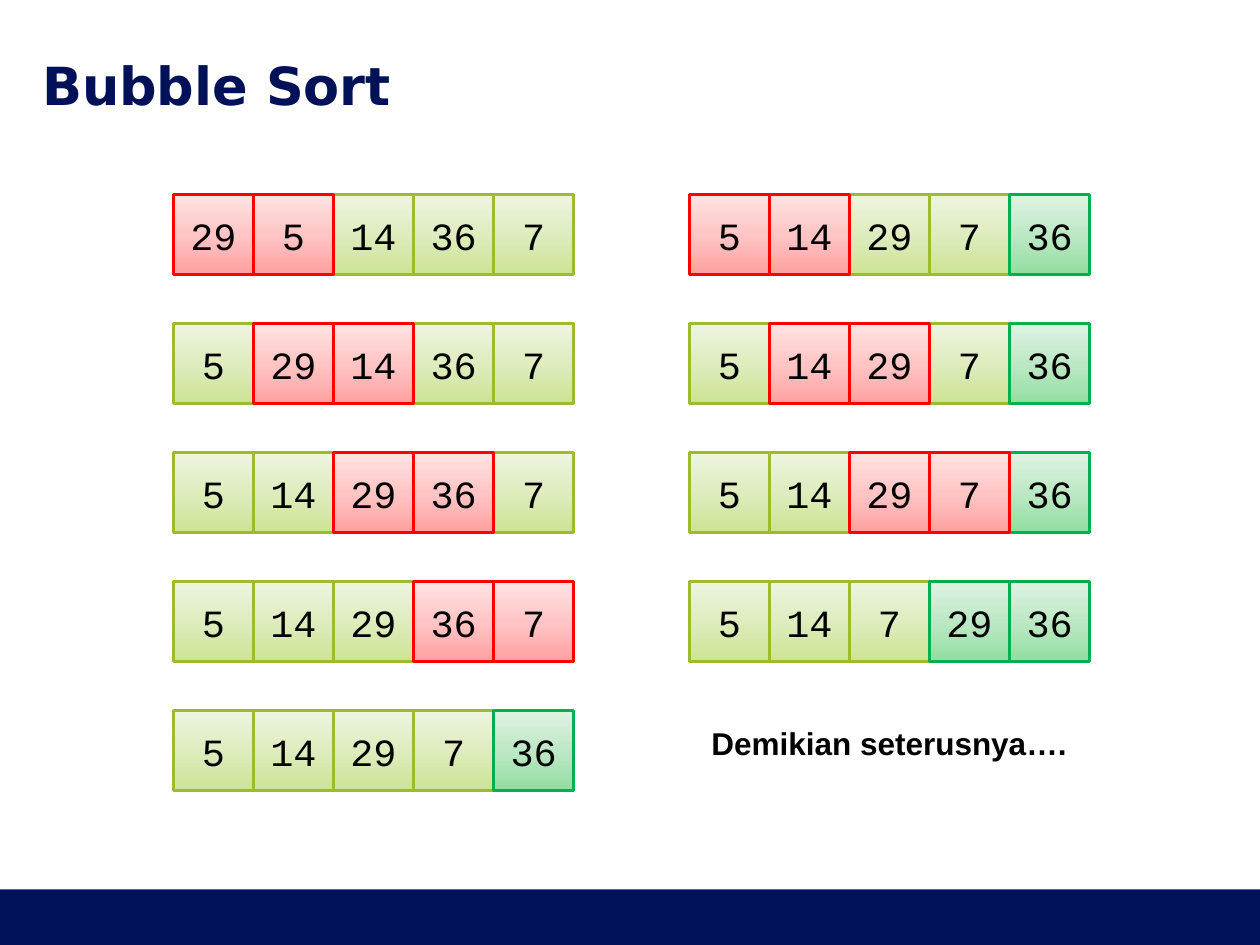
"""Build a slide that shows the first passes of bubble sort."""
import copy

import pptx
import pptx.dml.color
import pptx.enum.shapes
import pptx.enum.text
import pptx.oxml.ns
import pptx.util

Pt = pptx.util.Pt
NAVY = "001158"
CELL = 45.75
TOP = 111.25
ROW_STEP = 73.7
STYLES = {
    "n": {"line": "9EBA2E", "stops": ["CCE493", "DEECBE", "EEF5E0"]},
    "s": {"line": "00B050", "stops": ["91DEA0", "BDE8C5", "DFF3E3"]},
    "c": {"line": "FF0000", "stops": ["FFA0A0", "FFC5C5", "FFE3E3"]},
}
PASSES = [
    (99.1, [
        ([29, 5, 14, 36, 7], "ccnnn"),
        ([5, 29, 14, 36, 7], "nccnn"),
        ([5, 14, 29, 36, 7], "nnccn"),
        ([5, 14, 29, 36, 7], "nnncc"),
        ([5, 14, 29, 7, 36], "nnnns"),
    ]),
    (393.9, [
        ([5, 14, 29, 7, 36], "ccnns"),
        ([5, 14, 29, 7, 36], "nccns"),
        ([5, 14, 29, 7, 36], "nnccs"),
        ([5, 14, 7, 29, 36], "nnnss"),
    ]),
]


def rgb(value):
    return pptx.dml.color.RGBColor.from_string(value)


def set_attrs(obj, values):
    for name, value in values.items():
        setattr(obj, name, value)


def add_run(tf, text, color, **font):
    r = tf.paragraphs[0].add_run()
    r.text = text
    r.font.color.rgb = rgb(color)
    set_attrs(r.font, font)


def add_rect(s, x, y, w, h):
    sp = s.shapes.add_shape(
        pptx.enum.shapes.MSO_SHAPE.RECTANGLE, Pt(x), Pt(y), Pt(w), Pt(h))
    sp.shadow.inherit = False
    return sp


def add_footer(s):
    sp = add_rect(s, 0, 508.2, 720, 31.8)
    sp.fill.solid()
    sp.fill.fore_color.rgb = rgb(NAVY)
    sp.line.fill.background()


def fill_gradient(sp, colors):
    sp.fill.gradient()
    sp.fill.gradient_angle = 90
    first = sp._element.spPr.find(".//" + pptx.oxml.ns.qn("a:gs"))
    first.addnext(copy.deepcopy(first))
    for i, (stop, color) in enumerate(zip(sp.fill.gradient_stops, colors)):
        stop.position = i / 2
        stop.color.rgb = rgb(color)


def add_cell(s, x, y, number, style):
    sp = add_rect(s, x, y, CELL, CELL)
    fill_gradient(sp, style["stops"])
    sp.line.color.rgb = rgb(style["line"])
    sp.line.width = Pt(2)
    tf = sp.text_frame
    tf.vertical_anchor = pptx.enum.text.MSO_ANCHOR.MIDDLE
    tf.paragraphs[0].alignment = pptx.enum.text.PP_ALIGN.CENTER
    add_run(tf, str(number), "000000", name="Courier New", size=Pt(22))


def add_row(s, x, y, numbers, states):
    for state, style in STYLES.items():
        for i, number in enumerate(numbers):
            if states[i] == state:
                add_cell(s, x + i * CELL, y, number, style)


def add_text(s, x, y, w, h, text, color, font, frame):
    tf = s.shapes.add_textbox(Pt(x), Pt(y), Pt(w), Pt(h)).text_frame
    set_attrs(tf, frame)
    add_run(tf, text, color, **font)


def main():
    prs = pptx.Presentation()
    set_attrs(prs, {"slide_width": Pt(720), "slide_height": Pt(540)})
    s = prs.slides.add_slide(prs.slide_layouts[6])
    add_footer(s)
    add_text(s, 24, 31.7, 672, 33.8, "Bubble Sort", NAVY,
             {"name": "DejaVu Sans", "size": Pt(30), "bold": True},
             {"word_wrap": True, "margin_left": 0, "margin_right": 0,
              "margin_top": 0, "margin_bottom": 0,
              "vertical_anchor": pptx.enum.text.MSO_ANCHOR.MIDDLE})
    for x, rows in PASSES:
        for i, (numbers, states) in enumerate(rows):
            add_row(s, x, TOP + i * ROW_STEP, numbers, states)
    add_text(s, 399.4, 410.4, 219.6, 29, "Demikian seterusnya….", "000000",
             {"name": "Arial", "size": Pt(18), "bold": True},
             {"word_wrap": False,
              "auto_size": pptx.enum.text.MSO_AUTO_SIZE.SHAPE_TO_FIT_TEXT})
    prs.save("out.pptx")


if __name__ == "__main__":
    main()
